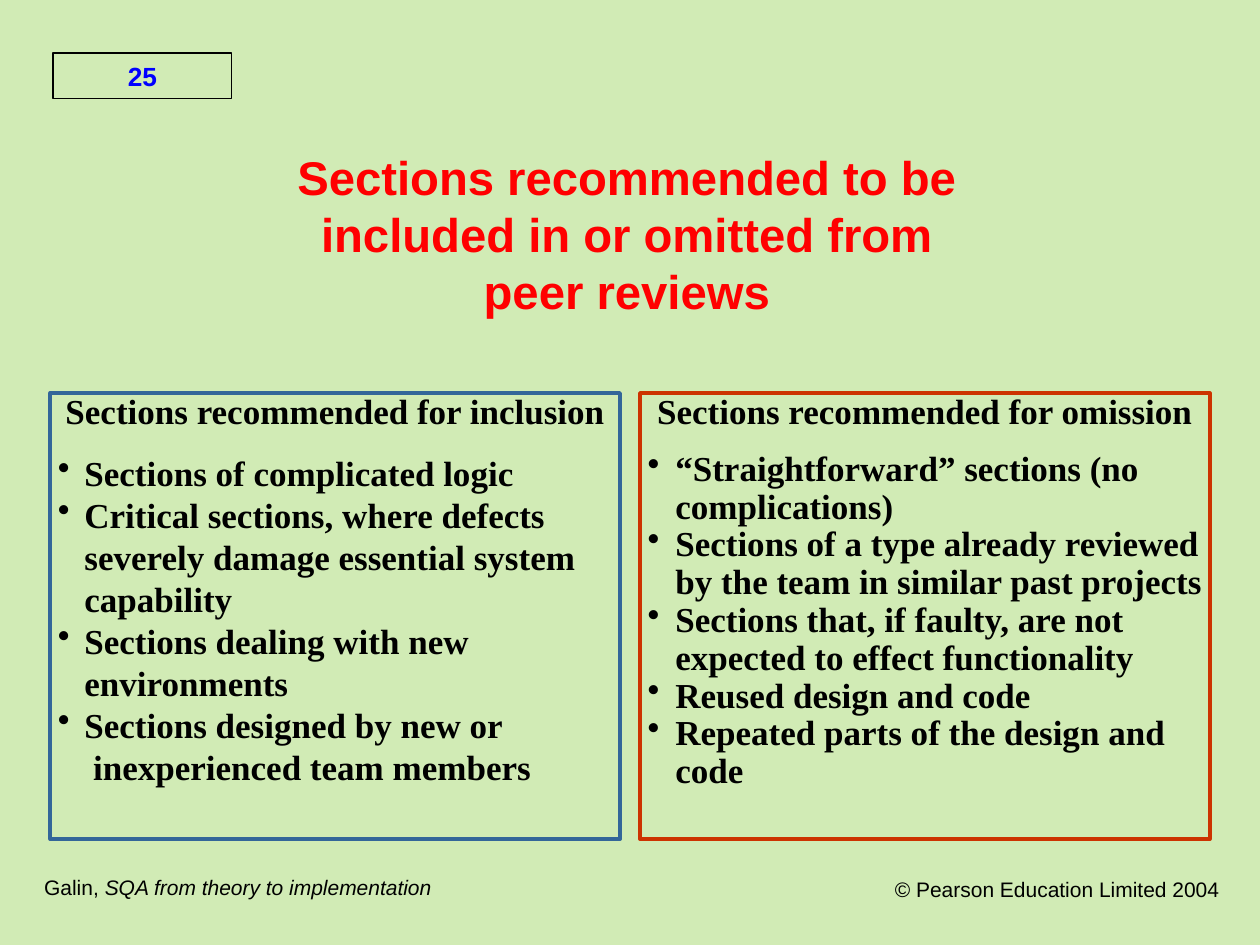
from lxml import etree
from pptx import Presentation
from pptx.dml.color import RGBColor
from pptx.enum.shapes import MSO_SHAPE
from pptx.enum.text import MSO_ANCHOR, MSO_AUTO_SIZE, PP_ALIGN
from pptx.oxml.ns import qn
from pptx.util import Inches, Pt

COLOURS = {
    "background": "D1EBB5",
    "text": "000000",
    "number": "0000FF",
    "title": "FF0000",
    "inclusion": "336699",
    "omission": "CC3300",
}
BODY = {"name": "Times New Roman", "size": Pt(20), "bold": True}
FOOTER = {"name": "Arial", "size": Pt(12), "bold": False}
NUMBER = {"name": "Arial", "size": Pt(15), "bold": True}
TITLE = {"name": "Arial", "size": Pt(27), "bold": True}

INCLUSION = [
    "Sections of complicated logic",
    "Critical sections, where defects severely damage essential system capability",
    "Sections dealing with new environments",
    "Sections designed by new or\v inexperienced team members",
]
OMISSION = [
    "“Straightforward” sections (no complications)",
    "Sections of a type already reviewed by the team in similar past projects",
    "Sections that, if faulty, are not expected to effect functionality",
    "Reused design and code",
    "Repeated parts of the design and code",
]


def colour(name):
    return RGBColor.from_string(COLOURS[name])


def set_font(font, formats, colour_name="text"):
    for attribute, value in formats.items():
        setattr(font, attribute, value)
    font.color.rgb = colour(colour_name)


def set_frame(frame, margin=0.06, anchor=MSO_ANCHOR.TOP):
    formats = {"word_wrap": True, "auto_size": MSO_AUTO_SIZE.NONE, "vertical_anchor": anchor}
    for side in ("left", "right", "top", "bottom"):
        formats[f"margin_{side}"] = Inches(margin)
    for attribute, value in formats.items():
        setattr(frame, attribute, value)


def add_bullet(paragraph, indent):
    properties = paragraph._p.get_or_add_pPr()
    properties.set("marL", str(Inches(indent)))
    properties.set("indent", str(-Inches(indent)))
    etree.SubElement(properties, qn("a:buChar")).set("char", "•")


def add_box(slide, bounds, line_name, line_width):
    box = slide.shapes.add_shape(MSO_SHAPE.RECTANGLE, *map(Inches, bounds))
    box.shadow.inherit = False
    box.fill.background()
    box.line.color.rgb = colour(line_name)
    box.line.width = Pt(line_width)
    set_frame(box.text_frame)
    return box


def add_title(slide, lines):
    title = slide.shapes.title
    title.left, title.top, title.width, title.height = map(Inches, (0.98, 1.18, 7.99, 1.35))
    set_frame(title.text_frame, 0, MSO_ANCHOR.MIDDLE)
    title.text_frame.text = "\n".join(lines)
    for paragraph in title.text_frame.paragraphs:
        paragraph.alignment = PP_ALIGN.CENTER
        set_font(paragraph.font, TITLE, "title")


def add_number(slide, number):
    frame = add_box(slide, (0.42, 0.42, 1.42, 0.36), "text", 0.75).text_frame
    paragraph = frame.paragraphs[0]
    paragraph.text = number
    paragraph.alignment = PP_ALIGN.CENTER
    set_font(paragraph.font, NUMBER, "number")


def add_section_list(slide, left, line_name, heading, items, indent, spacing):
    frame = add_box(slide, (left, 3.12, 4.52, 3.54), line_name, 2.25).text_frame
    paragraph = frame.paragraphs[0]
    paragraph.text = heading
    paragraph.alignment = PP_ALIGN.CENTER
    paragraph.line_spacing = 0.7
    set_font(paragraph.font, BODY)
    for index, item in enumerate(items):
        paragraph = frame.add_paragraph()
        paragraph.text = item
        paragraph.alignment = PP_ALIGN.LEFT
        paragraph.line_spacing = spacing
        paragraph.space_before = Pt(0 if index else 12)
        add_bullet(paragraph, indent)
        set_font(paragraph.font, BODY)


def add_footer(slide, bounds, alignment, runs):
    frame = slide.shapes.add_textbox(*map(Inches, bounds)).text_frame
    set_frame(frame)
    paragraph = frame.paragraphs[0]
    paragraph.alignment = alignment
    for text, italic in runs:
        run = paragraph.add_run()
        run.text = text
        set_font(run.font, {**FOOTER, "italic": italic})


def main():
    presentation = Presentation()
    presentation.slide_width, presentation.slide_height = Inches(10), Inches(7.5)
    slide = presentation.slides.add_slide(presentation.slide_layouts[5])
    slide.background.fill.solid()
    slide.background.fill.fore_color.rgb = colour("background")

    # Number and title
    add_number(slide, "25")
    add_title(slide, ["Sections recommended to be", "included in or omitted from", "peer reviews"])

    # Side-by-side lists
    add_section_list(slide, 0.4, "inclusion", "Sections recommended for inclusion",
                     INCLUSION, 0.21, 1.0)
    add_section_list(slide, 5.08, "omission", "Sections recommended for omission",
                     OMISSION, 0.22, 0.9)

    # Source and copyright
    add_footer(slide, (0.29, 6.88, 3.28, 0.31), PP_ALIGN.LEFT,
               [("Galin, ", False), ("SQA from theory to implementation", True)])
    add_footer(slide, (6.64, 6.9, 3.1, 0.39), PP_ALIGN.RIGHT,
               [("© Pearson Education Limited 2004", False)])

    presentation.save("out.pptx")


if __name__ == "__main__":
    main()
